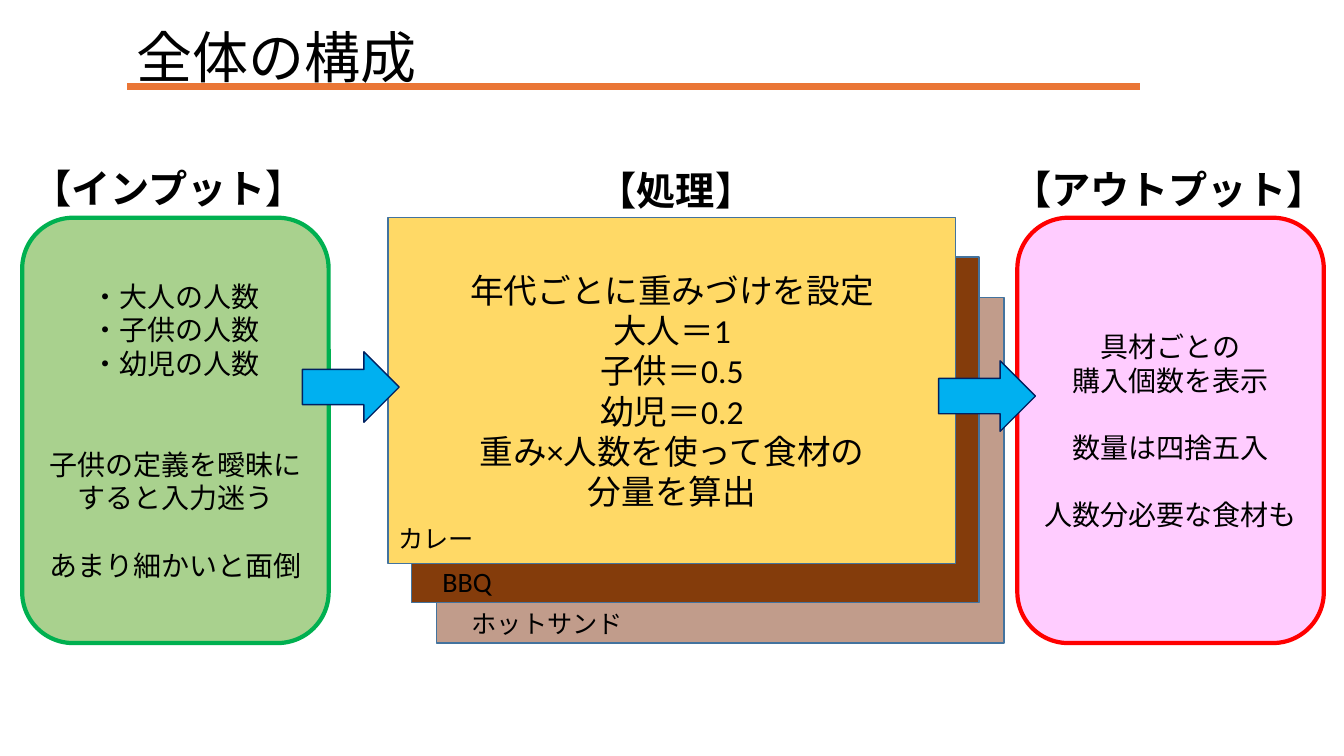
from dataclasses import dataclass

from lxml import etree
from pptx import Presentation
from pptx.dml.color import RGBColor
from pptx.enum.lang import MSO_LANGUAGE_ID
from pptx.enum.shapes import MSO_CONNECTOR, MSO_SHAPE
from pptx.enum.text import MSO_ANCHOR, PP_ALIGN
from pptx.oxml.ns import qn
from pptx.util import Inches, Pt

RECTANGLE = MSO_SHAPE.RECTANGLE
ROUNDED = MSO_SHAPE.ROUNDED_RECTANGLE
ARROW = MSO_SHAPE.RIGHT_ARROW
STRAIGHT = MSO_CONNECTOR.STRAIGHT
LEFT, CENTER = PP_ALIGN.LEFT, PP_ALIGN.CENTER
TOP, MIDDLE, BOTTOM = MSO_ANCHOR.TOP, MSO_ANCHOR.MIDDLE, MSO_ANCHOR.BOTTOM
JAPANESE = MSO_LANGUAGE_ID.JAPANESE


@dataclass(frozen=True)
class Theme:
    """Colours, fonts and type sizes of the slide."""
    text: str = "000000"
    rule: str = "EA7636"
    input_fill: str = "A9D18E"
    input_line: str = "00B050"
    output_fill: str = "FFCCFF"
    output_line: str = "FF0000"
    curry: str = "FFD966"
    bbq: str = "843C0B"
    sandwich: str = "C19C8B"
    sheet_line: str = "43739E"
    arrow_fill: str = "00B0F0"
    arrow_line: str = "002060"
    title_font: str = "Noto Sans CJK JP"
    body_font: str = "Calibri"
    title: int = 40
    heading: int = 28
    process: int = 24
    body: int = 20
    label: int = 18


THEME = Theme()
SLIDE_SIZE = (13.33, 7.5)
TITLE_BOX = (1.26, 0.14, 10.05, 0.81)
INPUT_BOX = (0.22, 2.16, 3.04, 4.22)
PROCESS_BOX = (3.85, 2.16, 5.63, 3.43)
OUTPUT_BOX = (10.09, 2.16, 3.04, 4.22)
BODY_GAP = 24

INPUT_GROUPS = [
    ["・大人の人数", "・子供の人数", "・幼児の人数"],
    [],
    ["子供の定義を曖昧に", "すると入力迷う"],
    ["あまり細かいと面倒"],
]
OUTPUT_GROUPS = [
    ["具材ごとの", "購入個数を表示"],
    ["数量は四捨五入"],
    ["人数分必要な食材も"],
]
PROCESS_GROUPS = [[
    "年代ごとに重みづけを設定",
    "大人＝1",
    "子供＝0.5",
    "幼児＝0.2",
    "重み×人数を使って食材の",
    "分量を算出",
]]


def set_attributes(target, values):
    """Set each named attribute of the target."""
    for name, value in values.items():
        setattr(target, name, value)


def write(frame, groups, size, align=LEFT, anchor=TOP, wrap=True, bold=False,
          font=THEME.body_font, line_spacing=None):
    """Write groups of lines, one gap of space between groups."""
    set_attributes(frame, {"word_wrap": wrap, "vertical_anchor": anchor})
    lines = [(line, index if position == 0 else 0, index)
             for index, group in enumerate(groups)
             for position, line in enumerate(group)]
    previous = 0
    for number, (line, starts, index) in enumerate(lines):
        paragraph = frame.paragraphs[0] if number == 0 else frame.add_paragraph()
        gap = (index - previous) * BODY_GAP if starts else 0
        previous = index
        set_attributes(paragraph, {"alignment": align, "space_before": Pt(gap),
                                   "line_spacing": line_spacing})
        run = paragraph.add_run()
        run.text = line
        set_attributes(run.font, {"name": font, "size": Pt(size), "bold": bold,
                                  "language_id": JAPANESE})
        run.font.color.rgb = RGBColor.from_string(THEME.text)
        latin = run.font._element.find(qn("a:latin"))
        east_asian = etree.Element(qn("a:ea"), typeface=font)
        latin.addnext(east_asian)


def add_block(slide, kind, box, fill, line, width=1):
    """Add a filled, outlined shape without a shadow."""
    block = slide.shapes.add_shape(kind, *map(Inches, box))
    block.shadow.inherit = False
    block.fill.solid()
    block.fill.fore_color.rgb = RGBColor.from_string(fill)
    block.line.color.rgb = RGBColor.from_string(line)
    block.line.width = Pt(width)
    return block


def add_caption(slide, box, caption, size, **style):
    """Add one line of text in a box."""
    area = slide.shapes.add_textbox(*map(Inches, box))
    write(area.text_frame, [[caption]], size, **style)


def add_title(slide, box, title):
    """Add the title and the rule beneath it."""
    left, top, width, height = box
    rule_y = top + 0.72
    rule = slide.shapes.add_connector(
        STRAIGHT, *map(Inches, (left, rule_y, left + width, rule_y)))
    rule.line.color.rgb = RGBColor.from_string(THEME.rule)
    rule.line.width = Pt(5)
    etree.SubElement(rule._element.spPr, qn("a:effectLst"))
    add_caption(slide, box, title, THEME.title, anchor=BOTTOM,
                font=THEME.title_font, line_spacing=0.9)


def add_heading(slide, box, heading, shift, width, rise):
    """Add a bold heading above a region."""
    left, top = box[:2]
    add_caption(slide, (left + shift, top - rise, width, 0.57), heading,
                THEME.heading, wrap=False, bold=True)


def add_panel(slide, box, groups, fill, line):
    """Add a rounded panel with centred groups of lines."""
    panel = add_block(slide, ROUNDED, box, fill, line, 3)
    write(panel.text_frame, groups, THEME.body, CENTER, MIDDLE)


def add_process(slide, box, groups):
    """Add the stack of recipe sheets, the front one holding the rules."""
    left, top, width, height = box
    sheets = [
        ("ホットサンド", THEME.sandwich, THEME.label, 0.48, 0.79, 0.73, 3.83, 1.72, 0.4),
        ("BBQ", THEME.bbq, THEME.body, 0.23, 0.39, 0.44, 3.39, 0.7, 0.44),
        ("カレー", THEME.curry, THEME.label, 0, 0, 0, 2.98, 0.96, 0.4),
    ]
    for recipe, fill, size, dx, dy, label_x, label_y, label_w, label_h in sheets:
        sheet = add_block(slide, RECTANGLE, (left + dx, top + dy, width, height),
                          fill, THEME.sheet_line)
        add_caption(slide, (left + label_x, top + label_y, label_w, label_h),
                    recipe, size, wrap=False)
    write(sheet.text_frame, groups, THEME.process, CENTER, MIDDLE)


def add_flow_arrow(slide, left, top):
    """Add an arrow that leads to the next region."""
    add_block(slide, ARROW, (left, top, 0.96, 0.7),
              THEME.arrow_fill, THEME.arrow_line)


def main():
    """Build and save the slide."""
    deck = Presentation()
    set_attributes(deck, dict(zip(("slide_width", "slide_height"),
                                  map(Inches, SLIDE_SIZE))))
    slide = deck.slides.add_slide(deck.slide_layouts[6])
    add_title(slide, TITLE_BOX, "全体の構成")
    add_panel(slide, OUTPUT_BOX, OUTPUT_GROUPS, THEME.output_fill, THEME.output_line)
    add_process(slide, PROCESS_BOX, PROCESS_GROUPS)
    add_panel(slide, INPUT_BOX, INPUT_GROUPS, THEME.input_fill, THEME.input_line)
    add_heading(slide, INPUT_BOX, "【インプット】", 0, 2.95, 0.58)
    add_heading(slide, PROCESS_BOX, "【処理】", 1.98, 1.77, 0.56)
    add_heading(slide, OUTPUT_BOX, "【アウトプット】", -0.15, 3.34, 0.57)
    add_flow_arrow(slide, 3, 3.49)
    add_flow_arrow(slide, 9.31, 3.58)
    deck.save("out.pptx")


if __name__ == "__main__":
    main()
